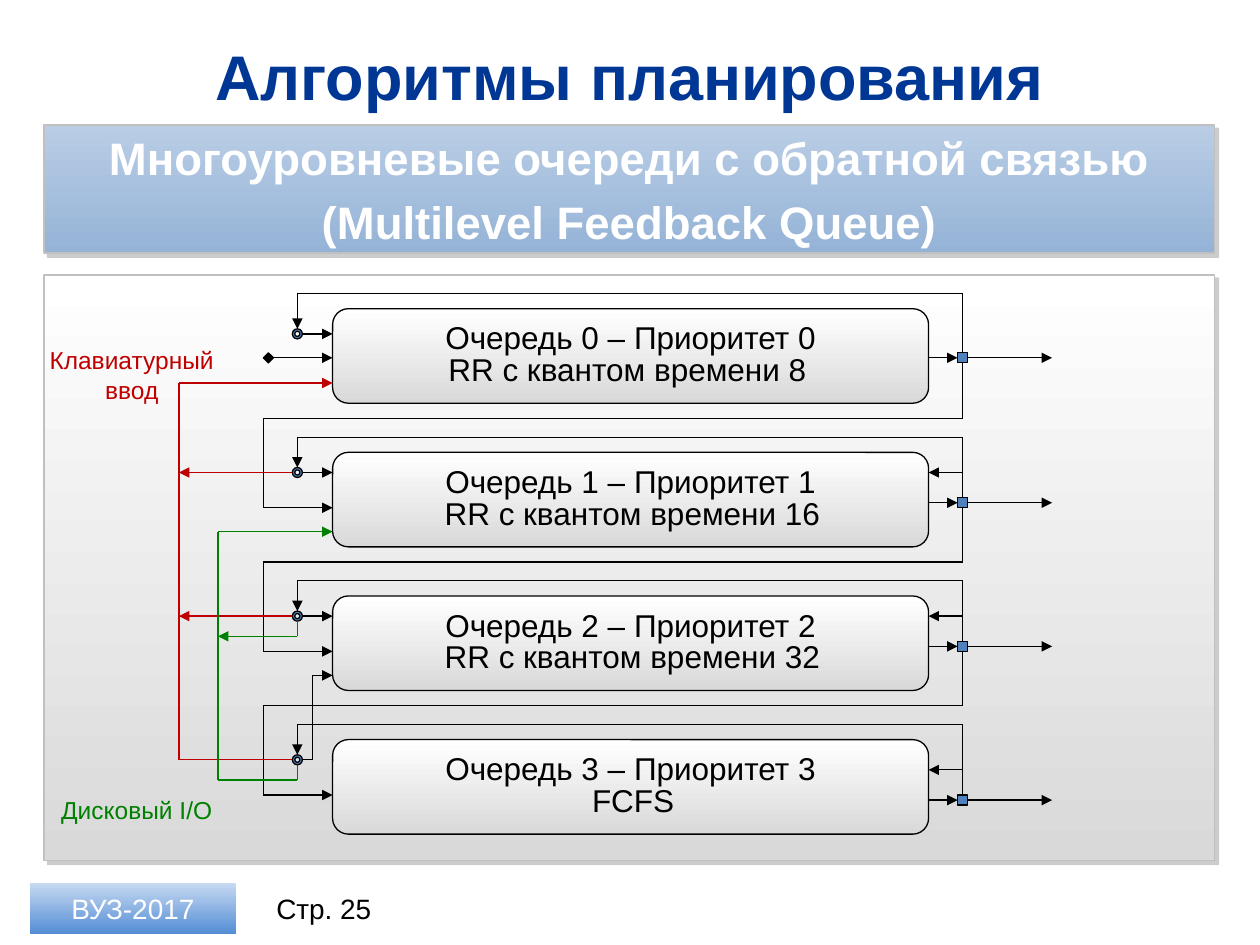
from lxml import etree
from pptx import Presentation
from pptx.dml.color import RGBColor
from pptx.enum.shapes import MSO_CONNECTOR, MSO_SHAPE
from pptx.enum.text import MSO_ANCHOR, PP_ALIGN
from pptx.oxml.ns import qn
from pptx.util import Inches, Pt

RECTANGLE = MSO_SHAPE.RECTANGLE
ROUNDED = MSO_SHAPE.ROUNDED_RECTANGLE
DIAMOND = MSO_SHAPE.DIAMOND
DONUT = MSO_SHAPE.DONUT
STRAIGHT = MSO_CONNECTOR.STRAIGHT
LEFT, CENTER = PP_ALIGN.LEFT, PP_ALIGN.CENTER
TOP, MIDDLE = MSO_ANCHOR.TOP, MSO_ANCHOR.MIDDLE

BLACK, WHITE = "000000", "FFFFFF"
NAVY, BLUE = "003794", "4F81BD"
RED, GREEN = "C00000", "008000"
SILVER, PALE = "C0C0C0", "D9D9D9"

QUEUE_LEFT, QUEUE_TOP, QUEUE_PITCH = 2.64, 2.45, 1.14
QUEUE_WIDTH, QUEUE_HEIGHT = 4.73, 0.75
NODE = 0.08
RING_X, ENTRY_X = -0.28, -0.55
GATE_X, EXIT_X = QUEUE_WIDTH + 0.27, QUEUE_WIDTH + 0.98
LOOP_Y, DROP_Y, ENTRY_Y = -0.12, 0.87, 0.44

QUEUES = [
    {"detail": "RR с квантом времени 8", "detail_x": 0.82, "ring_y": 0.2, "gate_y": 0.39, "return_y": None},
    {"detail": "RR с квантом времени 16", "detail_x": 0.79, "ring_y": 0.16, "gate_y": 0.4, "return_y": 0.16},
    {"detail": "RR с квантом времени 32", "detail_x": 0.79, "ring_y": 0.16, "gate_y": 0.4, "return_y": 0.16},
    {"detail": "FCFS", "detail_x": 0.79, "ring_y": 0.16, "gate_y": 0.48, "return_y": 0.24},
]


def color(value):
    return RGBColor.from_string(value)


def write(shape, lines, size, text_color, bold=False, align=CENTER, anchor=MIDDLE, wrap=True, after=0):
    frame = shape.text_frame
    frame.word_wrap = wrap
    frame.vertical_anchor = anchor
    frame.text = "\n".join(lines)
    for paragraph in frame.paragraphs:
        paragraph.alignment = align
        paragraph.space_after = Pt(after)
        paragraph.font.name = "Arial"
        paragraph.font.size = Pt(size)
        paragraph.font.bold = bold
        paragraph.font.color.rgb = color(text_color)


def add_text(slide, box, text, size, text_color, **options):
    write(slide.shapes.add_textbox(*map(Inches, box)), [text], size, text_color, **options)


def add_box(slide, kind, box, fills, line=None, width=0.75):
    shape = slide.shapes.add_shape(kind, *map(Inches, box))
    shape.shadow.inherit = False
    if len(fills) == 1:
        shape.fill.solid()
        shape.fill.fore_color.rgb = color(fills[0])
    else:
        shape.fill.gradient()
        shape.fill.gradient_angle = 270
        for stop, value in zip(shape.fill.gradient_stops, fills):
            stop.color.rgb = color(value)
    if line:
        shape.line.color.rgb = color(line)
        shape.line.width = Pt(width)
    else:
        shape.line.fill.background()
    return shape


def add_panel(slide, box, fills):
    panel = add_box(slide, RECTANGLE, box, fills, SILVER, 1)
    effects = panel._element.spPr.find(qn("a:effectLst"))
    shadow = etree.SubElement(effects, qn("a:outerShdw"), dist=str(Pt(3)), dir="2700000", algn="ctr", rotWithShape="0")
    shade = etree.SubElement(shadow, qn("a:srgbClr"), val="808080")
    etree.SubElement(shade, qn("a:alpha"), val="40000")
    return panel


def add_node(slide, kind, x, y, fill):
    return add_box(slide, kind, (x - NODE / 2, y - NODE / 2, NODE, NODE), [fill], BLACK)


def add_route(slide, points, line_color=BLACK, arrow=True):
    for start, end in zip(points, points[1:]):
        connector = slide.shapes.add_connector(STRAIGHT, *map(Inches, start + end))
        connector.line.color.rgb = color(line_color)
        connector.line.width = Pt(0.75)
        properties = connector._element.spPr
        etree.SubElement(properties, qn("a:effectLst"))
        if arrow and end == points[-1]:
            etree.SubElement(properties.find(qn("a:ln")), qn("a:tailEnd"), type="triangle")


def add_header(slide, left, top, width):
    add_text(slide, (left, top, width, 0.68), "Алгоритмы планирования", 36, NAVY, bold=True)
    banner = add_panel(slide, (left, top + 0.73, width, 1.02), ["B9CDE5", "95B3D7"])
    banner.text_frame.margin_left = banner.text_frame.margin_right = Inches(0.24)
    banner.text_frame.margin_top = banner.text_frame.margin_bottom = Inches(0.04)
    lines = ["Многоуровневые очереди с обратной связью", "(Multilevel Feedback Queue)"]
    write(banner, lines, 26, WHITE, bold=True, after=5.2)


def add_footer(slide, left, top, height):
    badge = add_box(slide, RECTANGLE, (left, top, 1.63, height), ["C6D9F1", "558ED5"])
    write(badge, ["ВУЗ-2017"], 16, WHITE)
    add_text(slide, (left + 1.79, top, 1.08, height), "Стр. 25", 16, BLACK, wrap=False)


def add_queue(slide, left, top, number, queue):
    box = add_box(slide, ROUNDED, (left, top, QUEUE_WIDTH, QUEUE_HEIGHT), [WHITE, PALE], BLACK)
    box.text_frame.margin_top = Inches(0.04)
    write(box, [f"Очередь {number} – Приоритет {number}"], 18, BLACK, anchor=TOP, wrap=False)
    align = LEFT if queue["detail"].startswith("RR") else CENTER
    add_text(slide, (left + queue["detail_x"], top + 0.28, 3.19, 0.4), queue["detail"], 18, BLACK, align=align, anchor=TOP)

    right, ring_x, gate_x = left + QUEUE_WIDTH, left + RING_X, left + GATE_X
    ring_y, gate_y, loop_y = top + queue["ring_y"], top + queue["gate_y"], top + LOOP_Y
    half = NODE / 2
    add_node(slide, RECTANGLE, gate_x, gate_y, BLUE)
    add_node(slide, DONUT, ring_x, ring_y, BLUE)
    add_route(slide, [(right, gate_y), (gate_x - half, gate_y)])
    add_route(slide, [(gate_x + half, gate_y), (left + EXIT_X, gate_y)])
    add_route(slide, [(gate_x, gate_y - half), (gate_x, loop_y), (ring_x, loop_y), (ring_x, ring_y - half)])
    if queue["return_y"] is not None:
        return_y = top + queue["return_y"]
        add_route(slide, [(gate_x, return_y), (right, return_y)])
    if number < len(QUEUES) - 1:
        drop_y, entry_x, entry_y = top + DROP_Y, left + ENTRY_X, top + QUEUE_PITCH + ENTRY_Y
        add_route(slide, [(ring_x + half, ring_y), (left, ring_y)])
        add_route(slide, [(gate_x, gate_y + half), (gate_x, drop_y), (entry_x, drop_y), (entry_x, entry_y), (left, entry_y)])


def add_feedback(slide, left, tops):
    half = NODE / 2
    ring_x, keyboard_x, disk_x = left + RING_X, left - 1.22, left - 0.91
    rings = [top + queue["ring_y"] for top, queue in zip(tops, QUEUES)]
    last = rings[3]

    start_y = tops[0] + QUEUES[0]["gate_y"]
    add_node(slide, DIAMOND, left - 0.51, start_y, BLACK)
    add_route(slide, [(left - 0.48, start_y), (left, start_y)])

    keyboard_y = tops[0] + 0.59
    add_route(slide, [(ring_x - half, last), (keyboard_x, last), (keyboard_x, keyboard_y), (left, keyboard_y)], RED)
    for ring_y in rings[1:3]:
        add_route(slide, [(ring_x - half, ring_y), (keyboard_x, ring_y)], RED)
    add_text(slide, (left - 2.52, tops[0] + 0.24, 1.85, 0.57), "Клавиатурный ввод", 14, RED, anchor=TOP)

    disk_y = tops[1] + 0.63
    add_route(slide, [(ring_x, last + half), (ring_x, last + 0.16), (disk_x, last + 0.16), (disk_x, disk_y), (left, disk_y)], GREEN)
    add_route(slide, [(ring_x, rings[2] + half), (ring_x, rings[2] + 0.16), (disk_x, rings[2] + 0.16)], GREEN)
    add_text(slide, (left - 2.48, tops[3] + 0.39, 1.85, 0.33), "Дисковый I/O", 14, GREEN, anchor=TOP)

    lift_x, lift_y = left - 0.16, tops[2] + 0.63
    add_route(slide, [(ring_x + half, last), (lift_x, last), (lift_x, lift_y), (left, lift_y)])


def main():
    presentation = Presentation()
    presentation.slide_width, presentation.slide_height = Inches(10), Inches(7.5)
    slide = presentation.slides.add_slide(presentation.slide_layouts[6])
    add_header(slide, 0.35, 0.26, 9.29)
    add_footer(slide, 0.24, 7.01, 0.4)
    add_panel(slide, (0.35, 2.18, 9.29, 4.65), [WHITE, PALE])
    tops = [QUEUE_TOP + QUEUE_PITCH * number for number in range(len(QUEUES))]
    for number, (top, queue) in enumerate(zip(tops, QUEUES)):
        add_queue(slide, QUEUE_LEFT, top, number, queue)
    add_feedback(slide, QUEUE_LEFT, tops)
    presentation.save("out.pptx")


if __name__ == "__main__":
    main()
